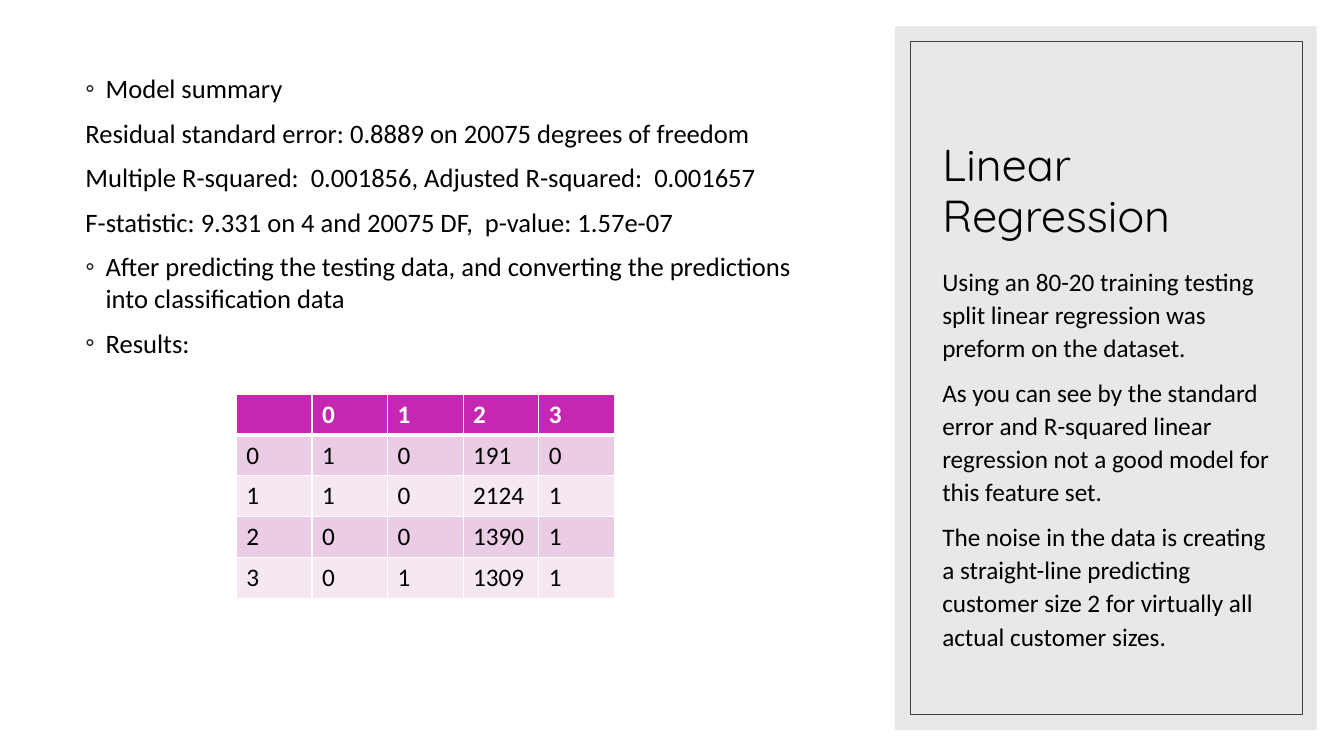
from lxml.etree import SubElement as Sub
from pptx import Presentation
from pptx.dml.color import RGBColor
from pptx.enum.shapes import MSO_SHAPE as Kind
from pptx.enum.text import MSO_ANCHOR as Anchor, PP_ALIGN as Align
from pptx.oxml.ns import qn
from pptx.util import Pt

SUMMARY = [
    ("Model summary", True),
    ("Residual standard error: 0.8889 on 20075 degrees of freedom", False),
    ("Multiple R-squared:  0.001856, Adjusted R-squared:  0.001657", False),
    ("F-statistic: 9.331 on 4 and 20075 DF,  p-value: 1.57e-07", False),
    ("After predicting the testing data, and converting the predictions "
     "into classification data", True),
    ("Results:", True),
]
NOTES = [
    "Using an 80-20 training testing split linear regression was preform "
    "on the dataset.",
    "As you can see by the standard error and R-squared linear regression "
    "not a good model for this feature set.",
    "The noise in the data is creating a straight-line predicting customer "
    "size 2 for virtually all actual customer sizes.",
]
RESULTS = [
    ["", "0", "1", "2", "3"],
    ["0", "1", "0", "191", "0"],
    ["1", "1", "0", "2124", "1"],
    ["2", "0", "0", "1390", "1"],
    ["3", "0", "1", "1309", "1"],
]


def rgb(code):
    return RGBColor.from_string(code)


def put(item, form):
    """Set each attribute of item from a dict."""
    for name, value in form.items():
        setattr(item, name, value)


class Page:
    body = "Calibri"
    head = "Quicksand"
    ink = "000000"
    white = "FFFFFF"
    frame = "404040"
    panel = "D9D9D9"
    dot = "262626"
    top = "C527B3"
    bands = ("EACDE5", "F5E8F2")

    def __init__(self, deck):
        self.slide = deck.slides.add_slide(deck.slide_layouts[5])
        self.shapes = self.slide.shapes

    def place(self, item, box):
        put(item, dict(zip(("left", "top", "width", "height"), map(Pt, box))))

    def label(self, para, text, size, color=None, face=None, bold=False):
        """Add a styled run to a paragraph."""
        run = para.add_run()
        run.text = text
        put(run.font, {"size": Pt(size), "name": face or self.body,
                       "bold": bold})
        run.font.color.rgb = rgb(color or self.ink)

    def rect(self, box, fill=None, alpha=100, line=None):
        """Add a rectangle behind the title."""
        shape = self.shapes.add_shape(Kind.RECTANGLE, *map(Pt, box))
        shape.shadow.inherit = False
        if fill:
            shape.fill.solid()
            shape.fill.fore_color.rgb = rgb(fill)
            tint = shape.element.spPr.find(".//" + qn("a:srgbClr"))
            Sub(tint, qn("a:alpha"), val=str(alpha * 1000))
        else:
            shape.fill.background()
        if line:
            shape.line.color.rgb = rgb(line)
            shape.line.width = Pt(0.5)
        else:
            shape.line.fill.background()
        self.shapes.title.element.addprevious(shape.element)

    def title(self, text, box):
        item = self.shapes.title
        self.place(item, box)
        put(item.text_frame, {"word_wrap": True,
                              "vertical_anchor": Anchor.BOTTOM})
        para = item.text_frame.paragraphs[0]
        put(para, {"alignment": Align.LEFT, "line_spacing": 0.95})
        self.label(para, text, 32, face=self.head)

    def bullet(self, para):
        prop = para._p.get_or_add_pPr()
        for name, value in {"marL": 14.4, "indent": -14.4}.items():
            prop.set(name, str(Pt(value)))
        Sub(Sub(prop, qn("a:buClr")), qn("a:srgbClr"), val=self.dot)
        Sub(prop, qn("a:buFont"), typeface=self.body)
        Sub(prop, qn("a:buChar"), char="◦")

    def text(self, lines, box, size, form):
        """Add a text box from pairs of wording and bullet flag."""
        frame = self.shapes.add_textbox(*map(Pt, box)).text_frame
        frame.word_wrap = True
        for i, (line, dotted) in enumerate(lines):
            para = frame.add_paragraph() if i else frame.paragraphs[0]
            put(para, form)
            if dotted:
                self.bullet(para)
            self.label(para, line, size)

    def edge(self, cell, base):
        """Draw white borders, with the given width below."""
        prop = cell._tc.get_or_add_tcPr()
        for side, wide in (("L", 1), ("R", 1), ("T", 1), ("B", base)):
            line = Sub(prop, qn("a:ln" + side), w=str(Pt(wide)))
            Sub(Sub(line, qn("a:solidFill")), qn("a:srgbClr"), val=self.white)

    def table(self, rows, box):
        grid = self.shapes.add_table(len(rows), len(rows[0]),
                                     *map(Pt, box)).table
        for r, row in enumerate(rows):
            for c, text in enumerate(row):
                cell = grid.cell(r, c)
                self.edge(cell, 1 if r else 3)
                cell.fill.solid()
                cell.fill.fore_color.rgb = rgb(
                    self.bands[(r - 1) % 2] if r else self.top)
                if text:
                    self.label(cell.text_frame.paragraphs[0], text, 18,
                               self.ink if r else self.white, bold=not r)


def main():
    deck = Presentation()
    put(deck, {"slide_width": Pt(960), "slide_height": Pt(540)})
    page = Page(deck)
    page.rect((639.4, 18.7, 301, 502.6), fill=page.panel, alpha=60)
    page.rect((650.2, 29.5, 280.1, 481), line=page.frame)
    page.title("Linear Regression", (666, 47.5, 249, 129.6))
    page.text(SUMMARY, (54, 48, 540, 420), 19, {"space_before": Pt(9)})
    page.text([(note, False) for note in NOTES], (666, 184.3, 249, 283.7), 18,
              {"space_before": Pt(8), "line_spacing": 1.1})
    page.table(RESULTS, (168.8, 281.5, 270, 146))
    deck.save("out.pptx")


if __name__ == "__main__":
    main()
